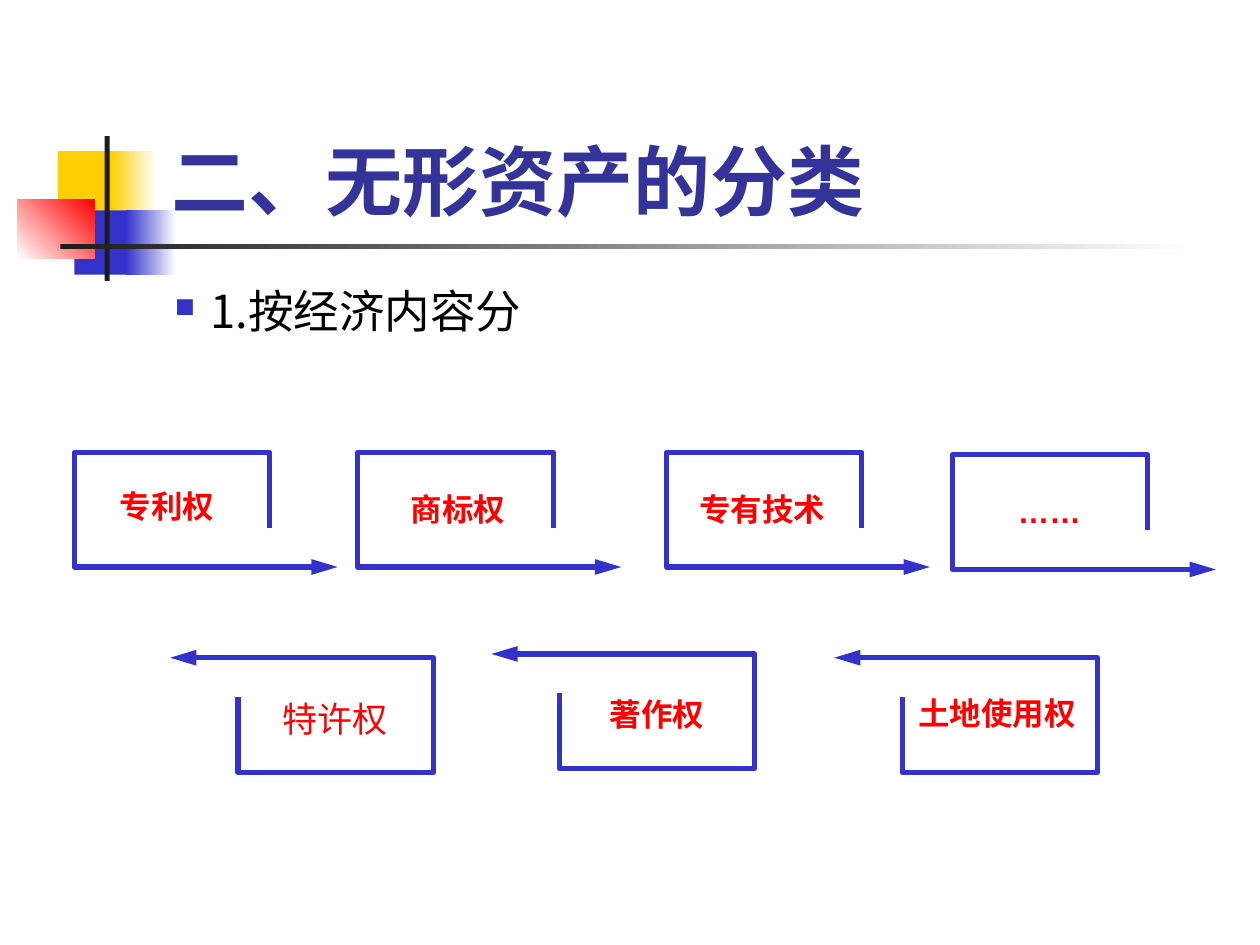
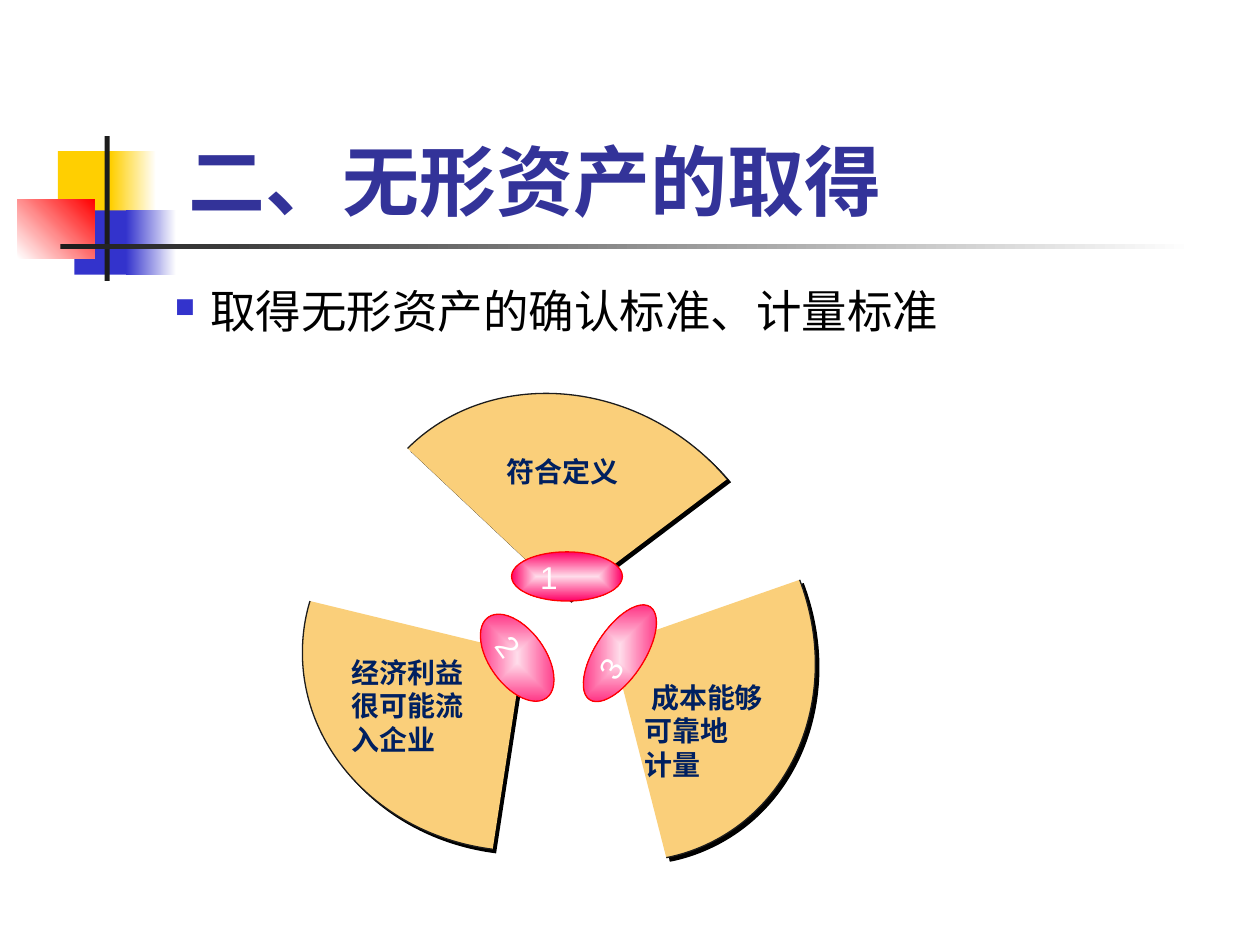
"""Build two slides on the classes and the acquisition of intangible assets."""
from lxml import etree
from pptx import Presentation
from pptx.dml.color import RGBColor
from pptx.enum.shapes import MSO_SHAPE
from pptx.enum.text import MSO_ANCHOR, MSO_AUTO_SIZE, PP_ALIGN
from pptx.oxml.ns import qn
from pptx.util import Pt

RECT, OVAL = MSO_SHAPE.RECTANGLE, MSO_SHAPE.OVAL
TOP, MIDDLE, BOTTOM = MSO_ANCHOR.TOP, MSO_ANCHOR.MIDDLE, MSO_ANCHOR.BOTTOM
LEFT, NO_FIT = PP_ALIGN.LEFT, MSO_AUTO_SIZE.NONE
PX = 9144
CJK = "Noto Sans CJK SC"
C = {
    "yellow": "FFCF01", "blue": "3333CC", "red": "FF0000", "ink": "1C1C1C",
    "white": "FFFFFF", "black": "000000", "title": "333399", "navy": "002060",
    "sand": "FACF7A", "pale": "FFDCEA", "pink": "FF0066",
}
TITLE = {"size": Pt(44), "name": "Lato", "bold": True}
BODY = {"size": Pt(26), "name": CJK, "bold": False}
LABEL = {"size": Pt(18), "name": "Arial", "bold": True}
PLAIN = {"size": Pt(20), "name": "Arial", "bold": False}
SLICE = {"size": Pt(16), "name": "Arial", "bold": True}
DIGIT = {"size": Pt(18), "name": "Arial", "bold": False}


def write(tf, lines, fmt, color, wrap=True, anchor=TOP):
    frame = {"word_wrap": wrap, "vertical_anchor": anchor, "auto_size": NO_FIT}
    for key, value in frame.items():
        setattr(tf, key, value)
    for i, line in enumerate(lines):
        p = tf.add_paragraph() if i else tf.paragraphs[0]
        p.alignment = LEFT
        r = p.add_run()
        r.text = line
        for key, value in fmt.items():
            setattr(r.font, key, value)
        r.font.color.rgb = RGBColor.from_string(C[color])
        etree.SubElement(r.font._element, qn("a:ea"), typeface=CJK)


def outline(s, points, line, width, closed=False):
    builder = s.shapes.build_freeform(*points[0], scale=PX)
    builder.add_line_segments(points[1:], close=closed)
    sp = builder.convert_to_shape()
    sp.shadow.inherit = False
    sp.fill.background()
    sp.line.color.rgb = RGBColor.from_string(C[line])
    sp.line.width = Pt(width)
    return sp


prs = Presentation()
prs.slide_width, prs.slide_height = 1000 * PX, 750 * PX
layout = prs.slide_layouts[5]
for ph in list(layout.placeholders)[1:]:
    ph.element.getparent().remove(ph.element)

slides = []
for title, point in [
    ("二、无形资产的分类", "1.按经济内容分"),
    (" 二、无形资产的取得", "取得无形资产的确认标准、计量标准"),
]:
    s = prs.slides.add_slide(layout)
    slides.append(s)
    sp = s.shapes.title
    sp.left, sp.top, sp.width, sp.height = [v * PX for v in (126, 24, 852, 160)]
    write(sp.text_frame, [title], TITLE, "title", anchor=BOTTOM)
    tf = s.shapes.add_textbox(129 * PX, 220 * PX, 850 * PX, 68 * PX).text_frame
    pPr = tf.paragraphs[0]._p.get_or_add_pPr()
    pPr.set("marL", str(28 * PX))
    pPr.set("indent", str(-28 * PX))
    clr = etree.SubElement(pPr, qn("a:buClr"))
    etree.SubElement(clr, qn("a:srgbClr"), val=C["blue"])
    etree.SubElement(pPr, qn("a:buSzPct"), val="60000")
    etree.SubElement(pPr, qn("a:buFont"), typeface="Wingdings", charset="2")
    etree.SubElement(pPr, qn("a:buChar"), char="n")
    write(tf, [point], BODY, "black")

classes, criteria = slides

for i, (x, y, w, h, start, end, angle) in enumerate([
    (46, 120, 48, 52, "yellow", None, 0),
    (88, 120, 36, 52, "yellow", "white", 0),
    (59, 167, 46, 51, "blue", None, 0),
    (100, 167, 40, 51, "blue", "white", 0),
    (14, 158, 61, 47, "white", "red", 45),
    (83, 108, 4, 115, "ink", None, 0),
    (48, 194, 900, 4, "ink", "white", 0),
]):
    sp = classes.shapes.add_shape(RECT, x * PX, y * PX, w * PX, h * PX)
    sp.shadow.inherit = False
    sp.line.fill.background()
    if end:
        sp.fill.gradient()
        sp.fill.gradient_angle = angle
        for stop, color in zip(sp.fill.gradient_stops, (start, end)):
            stop.color.rgb = RGBColor.from_string(C[color])
    else:
        sp.fill.solid()
        sp.fill.fore_color.rgb = RGBColor.from_string(C[start])
    sp._element.nvSpPr.cNvPr.set("id", str(20 + i))
    layout.shapes.element.insert(2 + i, sp.element)

BRACKET = [(155, 60), (155, 0), (0, 0), (0, 91), (209, 91)]
for x, y, flipped, label, lx, ly, fmt in [
    (59, 359, False, "专利权", 85, 382, LABEL),
    (284, 359, False, "商标权", 316, 384, LABEL),
    (529, 359, False, "专有技术", 545, 384, LABEL),
    (756, 361, False, "……", 798, 386, LABEL),
    (135, 522, True, "特许权", 214, 549, PLAIN),
    (390, 519, True, "著作权", 474, 547, LABEL),
    (662, 522, True, "土地使用权", 719, 546, LABEL),
]:
    points = [(x + 209 - dx, y + 91 - dy) if flipped else (x + dx, y + dy)
              for dx, dy in BRACKET]
    ln = outline(classes, points, "blue", 3).line._get_or_add_ln()
    etree.SubElement(ln, qn("a:round"))
    etree.SubElement(ln, qn("a:tailEnd"), type="triangle", w="med", len="lg")
    width = 20 + len(label) * fmt["size"].pt * 100 / 72
    box = classes.shapes.add_textbox(lx * PX, ly * PX, round(width * PX), 40 * PX)
    write(box.text_frame, [label], fmt, "red", wrap=False)

SECTOR = [(24, 0), (111, 11), (175, 78), (175, 156),
          (175, 170), (173, 184), (169, 197), (0, 156)]
STEPS = [("moveTo", 0, 1), ("cubicBezTo", 1, 4), ("cubicBezTo", 4, 7), ("lnTo", 7, 8)]
for digit, sector_box, sector_turn, lines, label_box, oval_box, oval_turn in [
    ("2", (240, 477, 175, 197), 180, ["经济利益", "很可能流", "入企业"],
     (269, 515, 159, 90), (371, 500, 79, 44), 54.2),
    ("1", (367, 265, 157, 219), 306.2, ["符合定义"],
     (392, 356, 122, 37), (406, 438, 88, 39), 0),
    ("3", (490, 464, 175, 197), 62, [" 成本能够", "可靠地", "计量"],
     (502, 535, 159, 90), (448, 499, 88, 39), 303),
]:
    sp = outline(criteria, SECTOR, "ink", 0.75, closed=True)
    sp.left, sp.top, sp.width, sp.height = [v * PX for v in sector_box]
    sp.rotation = sector_turn
    sp.fill.solid()
    sp.fill.fore_color.rgb = RGBColor.from_string(C["sand"])
    paths = sp._element.spPr.find(".//" + qn("a:pathLst"))
    paths.remove(paths[0])
    for steps, attrs in [(STEPS[:3], {"fill": "none"}), (STEPS, {"stroke": "0"})]:
        path = etree.SubElement(paths, qn("a:path"), {"w": "175", "h": "197", **attrs})
        for tag, first, last in steps:
            step = etree.SubElement(path, qn("a:" + tag))
            for x, y in SECTOR[first:last]:
                etree.SubElement(step, qn("a:pt"), x=str(x), y=str(y))
    etree.SubElement(path, qn("a:close"))
    shadow = etree.SubElement(sp._element.spPr.find(qn("a:effectLst")), qn("a:outerShdw"),
                              dist=str(Pt(2.8)), dir="2700000", algn="ctr", rotWithShape="0")
    etree.SubElement(shadow, qn("a:srgbClr"), val=C["black"])

    box = criteria.shapes.add_textbox(*[v * PX for v in label_box])
    write(box.text_frame, lines, SLICE, "navy")

    sp = criteria.shapes.add_shape(OVAL, *[v * PX for v in oval_box])
    sp.rotation = oval_turn
    sp.shadow.inherit = False
    sp.line.color.rgb = RGBColor.from_string(C["red"])
    sp.line.width = Pt(0.75)
    sp.fill.gradient()
    for stop, color in zip(sp.fill.gradient_stops, ("pale", "pink")):
        stop.color.rgb = RGBColor.from_string(C[color])
    grad = sp._element.spPr.find(qn("a:gradFill"))
    grad.remove(grad.find(qn("a:lin")))
    centre = etree.SubElement(grad, qn("a:path"), {"path": "shape"})
    etree.SubElement(centre, qn("a:fillToRect"), l="50000", t="50000", r="50000", b="50000")
    pPr = sp.text_frame.paragraphs[0]._p.get_or_add_pPr()
    pPr.set("marL", str(26 * PX))
    pPr.set("indent", str(-26 * PX))
    write(sp.text_frame, [digit], DIGIT, "white", wrap=False, anchor=MIDDLE)

prs.save("out.pptx")
